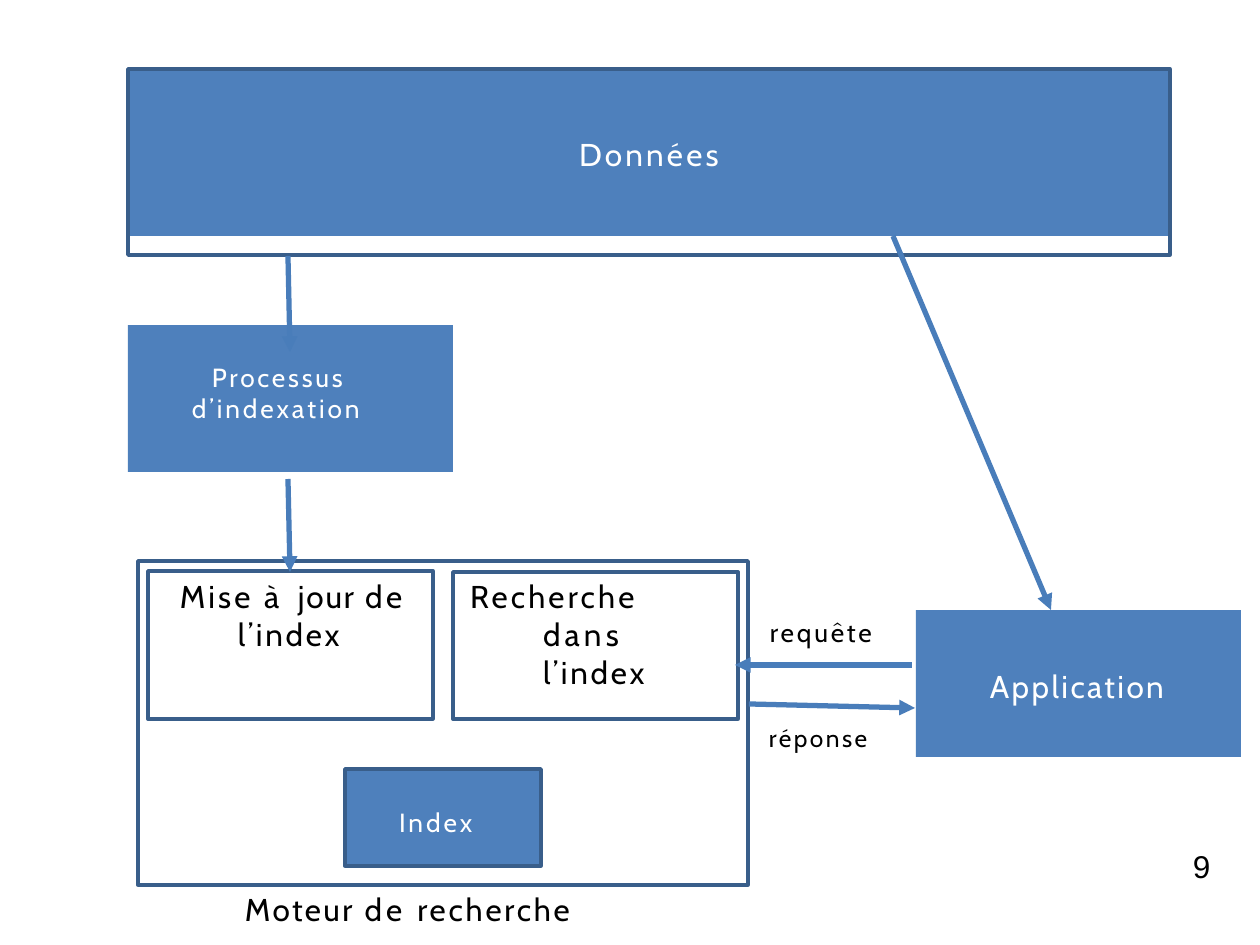
from lxml.etree import SubElement
from pptx import Presentation
from pptx.dml.color import RGBColor
from pptx.enum.shapes import MSO_CONNECTOR, MSO_SHAPE
from pptx.enum.text import MSO_ANCHOR, MSO_AUTO_SIZE, PP_ALIGN
from pptx.oxml.ns import qn
from pptx.util import Pt

PX = 914400 / 126
COLORS = {"fill": "4E80BC", "outline": "395E8A", "arrow": "497DBA",
          "light": "FFFFFF", "dark": "000000"}


def emu(*lengths):
    return [round(length * PX) for length in lengths]


def color(name):
    return RGBColor.from_string(COLORS[name])


def write(shape, pieces, size, ink, margins=(0, 1, 0), indent=(0, 0),
          align=PP_ALIGN.LEFT, font="Cabin"):
    frame = shape.text_frame
    frame.word_wrap = True
    frame.auto_size = MSO_AUTO_SIZE.NONE
    frame.vertical_anchor = MSO_ANCHOR.TOP
    frame.margin_left, frame.margin_top, frame.margin_right = emu(*margins)
    frame.margin_bottom = 0
    paragraph = frame.paragraphs[0]
    paragraph.alignment = align
    properties = paragraph._p.get_or_add_pPr()
    for key, length in zip(("marL", "indent"), emu(*indent)):
        properties.set(key, str(length))
    for text, spacing in pieces:
        span = paragraph.add_run()
        span.text = text
        span.font.name = font
        span.font.size = Pt(size)
        span.font.color.rgb = color(ink)
        span.font._element.set("spc", str(round(spacing * 100)))


def outline(shape):
    shape.line.color.rgb = color("outline")
    shape.line.width = Pt(2)


def add_box(page, box, filled=False, outlined=False):
    shape = page.shapes.add_shape(MSO_SHAPE.RECTANGLE, *emu(*box))
    shape.shadow.inherit = False
    if filled:
        shape.fill.solid()
        shape.fill.fore_color.rgb = color("fill")
    else:
        shape.fill.background()
    if outlined:
        outline(shape)
    else:
        shape.line.fill.background()
    return shape


def add_label(page, box, pieces, size, font="Cabin"):
    label = page.shapes.add_textbox(*emu(*box))
    write(label, pieces, size, "dark", font=font)


def add_arrow(page, start, end):
    arrow = page.shapes.add_connector(MSO_CONNECTOR.STRAIGHT, *emu(*start, *end))
    arrow.line.color.rgb = color("arrow")
    arrow.line.width = Pt(3)
    SubElement(arrow.line._get_or_add_ln(), qn("a:tailEnd"), type="triangle")
    SubElement(arrow.element.spPr, qn("a:effectLst"))


def add_data(page, box):
    left, top, width, height = box
    title = page.shapes.title
    title.left, title.top, title.width, title.height = emu(*box)
    outline(title)
    write(title, [("Données", 1.8)], 18, "light", margins=(0, 66, 0),
          align=PP_ALIGN.CENTER)
    band = add_box(page, (left, top, width, height - 19), filled=True)
    title.element.addprevious(band.element)


def add_indexing(page, box):
    process = add_box(page, box, filled=True)
    write(process, [("Processus ", 1.6), ("d’indexation", 1.7)], 15, "light",
          margins=(0, 36, 0), indent=(64, 20))


def add_engine(page, box):
    left, top, width, height = box
    add_box(page, box, outlined=True)
    update = add_box(page, (left + 10, top + 10, 285, 148), outlined=True)
    write(update, [("Mise ", 1.8), ("à ", 3.3), ("jour ", 1.1), ("de ", 2), ("l’index", 1.6)],
          18, "dark", margins=(31, 6, 15), indent=(59, -58))
    search = add_box(page, (left + 315, top + 11, 285, 147), outlined=True)
    write(search, [("Recherche ", 1.8), ("dans ", 2.4), ("l’index", 1.6)],
          18, "dark", margins=(16, 5, 30), indent=(74, -73))
    index = add_box(page, (left + 207, top + 208, 196, 97), filled=True, outlined=True)
    write(index, [("Index", 1.7)], 15, "light", margins=(54, 37, 0))
    add_label(page, (left + 107, top + height + 4, 491, 39),
              [("Moteur ", 1.4), ("de ", 2.3), ("recherche", 1.6)], 18)


def add_application(page, box):
    application = add_box(page, box, filled=True)
    write(application, [("Application", 1.4)], 18, "light", margins=(74, 57, 0))


def add_flows(page, box):
    left, top, width, height = box
    add_label(page, (left + 21, top, 126, 33), [("requête", 1.6)], 15)
    add_label(page, (left + 20, top + 107, 136, 32), [("réponse", 1.4)], 14)
    add_arrow(page, (left + width - 3, top + 50), (left - 14, top + 50))
    add_arrow(page, (left, top + 89), (left + width, top + 93))


def main():
    deck = Presentation()
    deck.slide_width, deck.slide_height = emu(1260, 945)
    page = deck.slides.add_slide(deck.slide_layouts[5])
    add_data(page, (128, 69, 1042, 186))
    add_indexing(page, (128, 325, 325, 147))
    add_engine(page, (138, 561, 610, 324))
    add_application(page, (916, 610, 325, 147))
    add_flows(page, (749, 615, 166, 139))
    for top, bottom in ((256, 352), (479, 572)):
        add_arrow(page, (288, top), (290, bottom))
    add_arrow(page, (893, 236), (1051, 610))
    add_label(page, (1193, 846, 24, 39), [("9", -0.5)], 18, font="Arial")
    deck.save("out.pptx")


if __name__ == "__main__":
    main()
